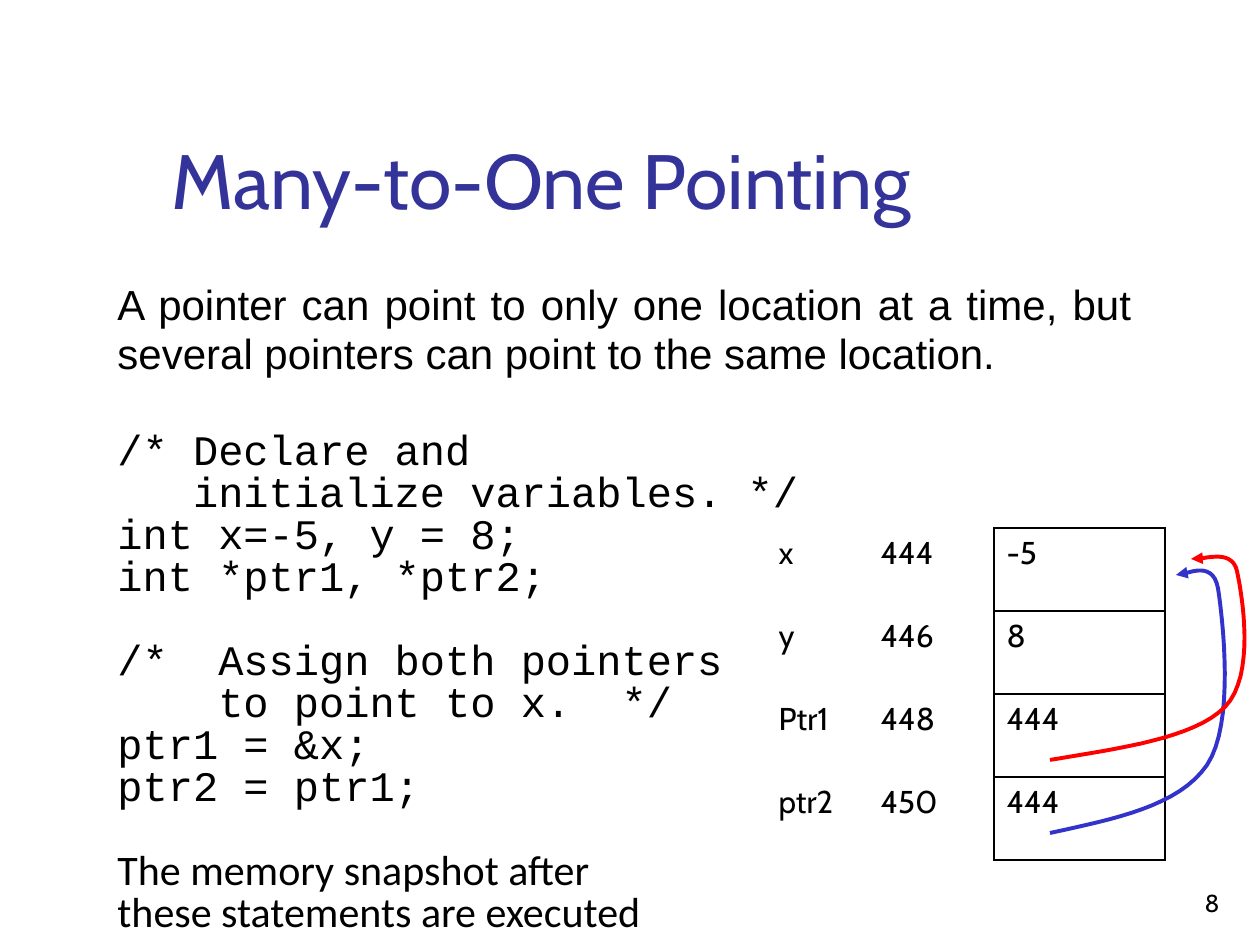
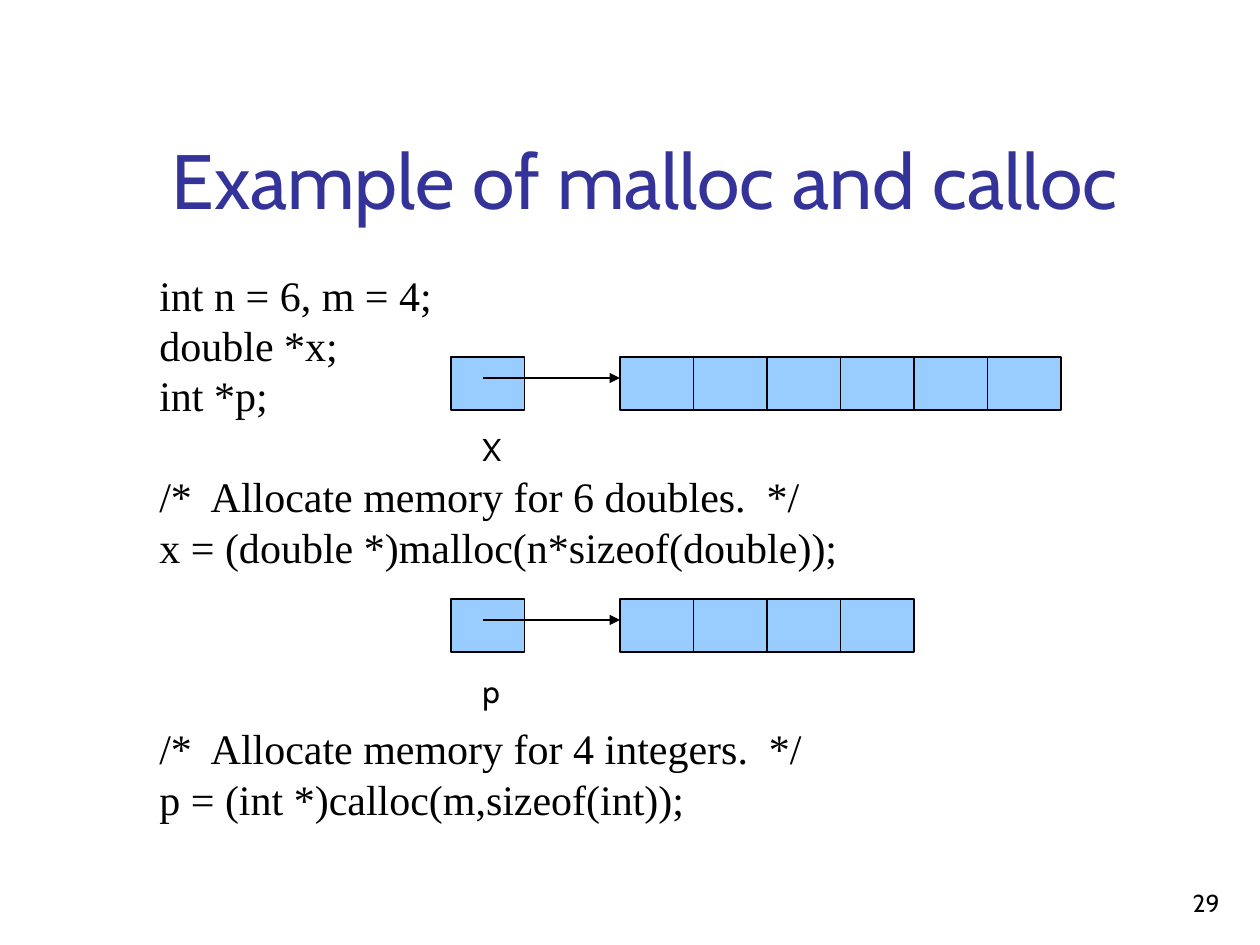
from lxml.etree import SubElement
from pptx import Presentation
from pptx.dml.color import RGBColor
from pptx.enum.shapes import MSO_CONNECTOR, MSO_SHAPE
from pptx.enum.text import MSO_ANCHOR, PP_ALIGN
from pptx.oxml.ns import qn
from pptx.util import Emu, Pt

PX = 914400 / 126
COLORS = {"title": "333399", "text": "000000", "line": "000000",
          "cell": "99CCFF", "ptr1": "FF0000", "ptr2": "3333CC"}
FONT = "Cabin"

# Each block: lines, gap before it in points, format
POINTING = [
    (["A pointer can point to only one location at a time, but "
      "several pointers can point to the same location."], 0,
     dict(font="Arial", pitch=27.5, align=PP_ALIGN.JUSTIFY)),
    (["/* Declare and",
      "   initialize variables. */",
      "int x=-5, y = 8;",
      "int *ptr1, *ptr2;"], 31, dict(font="Courier New", pitch=24)),
    (["/*  Assign both pointers",
      "    to point to x.  */",
      "ptr1 = &x;",
      "ptr2 = ptr1;"], 24, dict(font="Courier New", pitch=24)),
    (["The memory snapshot after",
      "these statements are executed"], 24, dict(font="Calibri", pitch=24)),
]
SERIF = dict(font="Times New Roman", pitch=28.8)
ALLOC = [
    (["int n = 6, m = 4;", "double *x;", "int *p;"], 0, SERIF),
    (["/*  Allocate memory for 6 doubles.  */",
      "x = (double *)malloc(n*sizeof(double));"], 28.8, SERIF),
    (["/*  Allocate memory for 4 integers.  */",
      "p = (int *)calloc(m,sizeof(int));"], 86.4, SERIF),
]
MEMORY = [("x", "444", "-5"), ("y", "446", "8"),
          ("Ptr1", "448", "444"), ("ptr2", "450", "444")]
COLS, ROW = (102, 126, 171), 83
# Start point, then two handles and an end point for each curve
PATHS = {
    "ptr2": [(1050, 833), (1115, 819), (1179, 806), (1207, 765),
             (1235, 724), (1223, 620), (1218, 588),
             (1212, 557), (1183, 577), (1176, 575)],
    "ptr1": [(1050, 760), (1123, 748), (1194, 738), (1225, 707),
             (1256, 675), (1242, 595), (1237, 571),
             (1231, 546), (1198, 562), (1191, 559)],
}
ARRAYS = [("X", 6, 357), ("p", 4, 599)]  # name, cells, top
CELL, TALL = 441 / 6, 53
HEAD, FIRST = 451, 620  # left of the pointer cell and of the array


def emu(*nums):
    return [Emu(round(n * PX)) for n in nums]


def rgb(name):
    return RGBColor.from_string(COLORS[name])


def put(para, text, font=FONT, size=24, color="text", align=None,
        pitch=None, gap=0):
    para.alignment = align
    if pitch:
        para.line_spacing = Pt(pitch)
        para.space_before = Pt(gap)
    run = para.add_run()
    run.text = text
    run.font.name, run.font.size = font, Pt(size)
    run.font.color.rgb = rgb(color)


def box(slide, *at, wrap=True, anchor=MSO_ANCHOR.TOP):
    frame = slide.shapes.add_textbox(*emu(*at)).text_frame
    frame.word_wrap = wrap
    frame.vertical_anchor = anchor
    return frame


def start(deck, title, number):
    slide = deck.slides.add_slide(deck.slide_layouts[5])
    head = slide.shapes.title
    head.left, head.top, head.width, head.height = emu(159, 29, 1073, 202)
    head.text_frame.vertical_anchor = MSO_ANCHOR.BOTTOM
    put(head.text_frame.paragraphs[0], title, size=44, color="title",
        align=PP_ALIGN.LEFT)
    foot = box(slide, 970, 861, 262, 63, anchor=MSO_ANCHOR.BOTTOM)
    put(foot.paragraphs[0], number, size=14, align=PP_ALIGN.RIGHT)
    return slide


def write(frame, blocks):
    para = frame.paragraphs[0]
    for b, (lines, gap, style) in enumerate(blocks):
        for n, line in enumerate(lines):
            if b or n:
                para = frame.add_paragraph()
            put(para, line, gap=0 if n else gap, **style)


def stroke(shape, color="line", width=1, arrow=False):
    shape.line.color.rgb = rgb(color)
    shape.line.width = Pt(width)
    if arrow:
        line = shape.element.spPr.find(qn("a:ln"))
        SubElement(line, qn("a:tailEnd"), type="triangle")


def border(cell, *sides):
    props = cell._tc.get_or_add_tcPr()
    for side in sides:
        line = SubElement(props, qn("a:ln" + side), w=str(Pt(1)))
        fill = SubElement(line, qn("a:solidFill"))
        SubElement(fill, qn("a:srgbClr"), val=COLORS["line"])


def memory(slide):
    size = len(MEMORY), len(COLS)
    frame = slide.shapes.add_table(
        *size, *emu(766, 528, sum(COLS), ROW * len(MEMORY)))
    table = frame.table
    table.first_row = table.horz_banding = False
    for col, width in zip(table.columns, emu(*COLS)):
        col.width = width
    for r, row in enumerate(MEMORY):
        table.rows[r].height = emu(ROW)[0]
        for c, text in enumerate(row):
            cell = table.cell(r, c)
            put(cell.text_frame.paragraphs[0], text, size=18)
            border(cell, *[(), ("R",), "LRTB"][c])
            cell.fill.background()


def bend(points, steps=16):
    """Yield points along a chain of cubic Bezier curves."""
    for i in range(0, len(points) - 1, 3):
        for k in range(1, steps + 1):
            t = k / steps
            u = 1 - t
            parts = u ** 3, 3 * u * u * t, 3 * u * t * t, t ** 3
            yield tuple(sum(w * p[axis] for w, p in
                            zip(parts, points[i:i + 4])) for axis in (0, 1))


def curve(slide, name, points):
    # Tenths of a px keep the curve smooth
    pen = slide.shapes.build_freeform(
        *(10 * v for v in points[0]), scale=PX / 10)
    pen.add_line_segments([(10 * x, 10 * y) for x, y in bend(points)],
                          close=False)
    shape = pen.convert_to_shape()
    shape.shadow.inherit = False
    shape.fill.background()
    stroke(shape, name, 2.25, arrow=True)


def array(slide, name, count, top):
    for left in [HEAD] + [FIRST + CELL * i for i in range(count)]:
        cell = slide.shapes.add_shape(
            MSO_SHAPE.RECTANGLE, *emu(left, top, CELL, TALL))
        cell.shadow.inherit = False
        cell.fill.solid()
        cell.fill.fore_color.rgb = rgb("cell")
        stroke(cell)
    label = box(slide, 470, top + 67, 44, 50, wrap=False)
    put(label.paragraphs[0], name, size=18)
    arrow = slide.shapes.add_connector(
        MSO_CONNECTOR.STRAIGHT, *emu(483, top + 21, FIRST, top + 21))
    stroke(arrow, arrow=True)
    SubElement(arrow.element.spPr, qn("a:effectLst"))


def main():
    deck = Presentation()
    deck.slide_width, deck.slide_height = emu(1260, 945)

    slide = start(deck, "Many-to-One Pointing", "8")
    write(box(slide, 105, 275, 1039, 669), POINTING)
    memory(slide)
    for name, points in PATHS.items():
        curve(slide, name, points)

    slide = start(deck, "Example of malloc and calloc", "29")
    write(box(slide, 147, 263, 1061, 666), ALLOC)
    for item in ARRAYS:
        array(slide, *item)

    deck.save("out.pptx")


if __name__ == "__main__":
    main()
